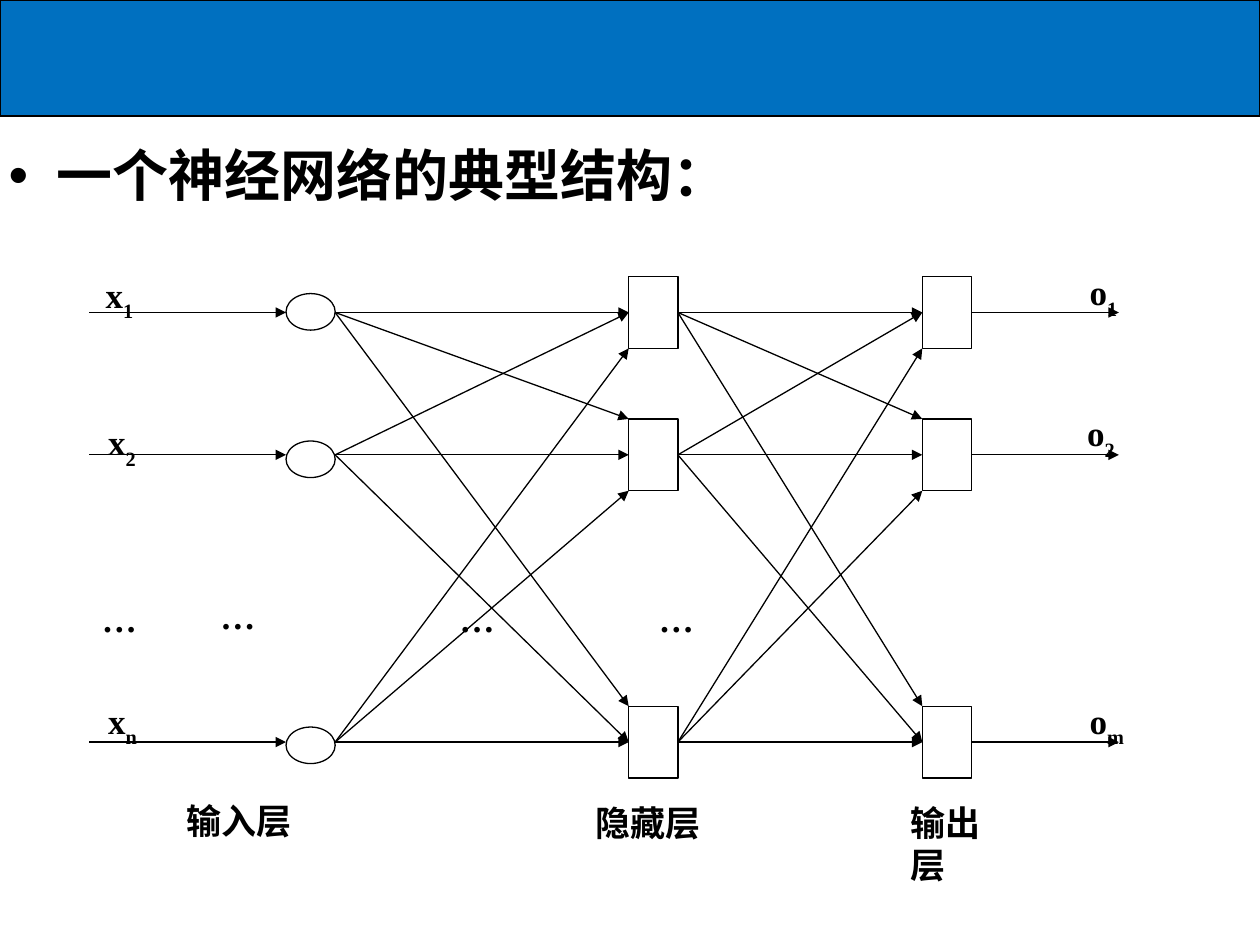
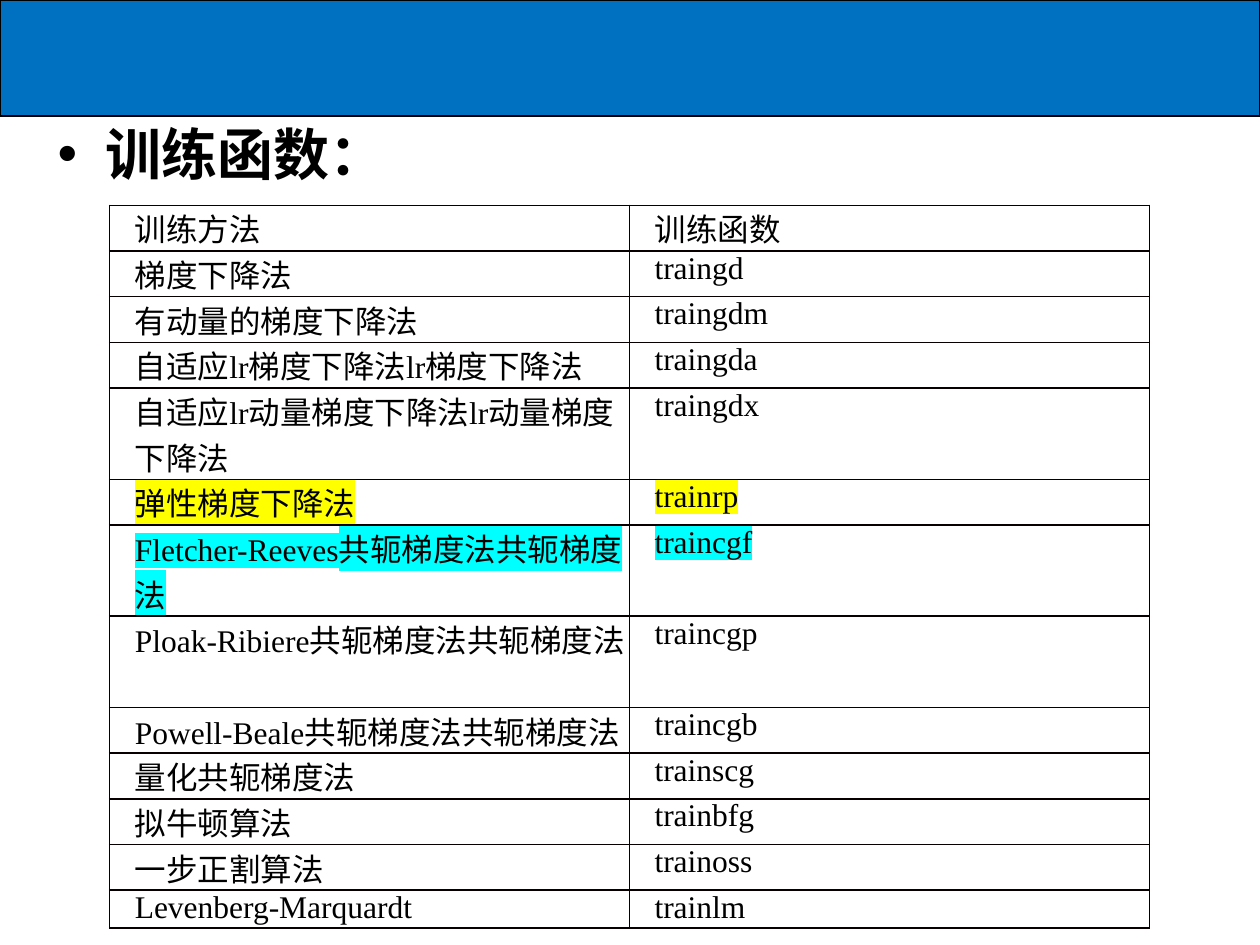
"""Build two slides on neural networks: a typical structure and its training functions."""
from dataclasses import dataclass
from itertools import product

from lxml.etree import SubElement
from pptx import Presentation
from pptx.dml.color import RGBColor
from pptx.enum.shapes import MSO_CONNECTOR, MSO_SHAPE
from pptx.oxml.ns import qn
from pptx.util import Inches, Pt


@dataclass(frozen=True)
class Theme:
    """Colours, fonts and type sizes of the slides."""
    band: str = "0070C0"
    paper: str = "FFFFFF"
    ink: str = "000000"
    grid: str = "080000"
    yellow: str = "FFFF00"
    cyan: str = "00FFFF"
    serif: str = "Times New Roman"
    sans: str = "Arial"
    chinese: str = "Noto Sans CJK SC"
    heading_size: int = 32
    label_size: int = 20
    table_size: int = 18
    table_line: float = 26.1
    latin_line: float = 19.8
    outline: float = 0.75


THEME = Theme()
LANES = (2.48, 3.61, 5.89)
INPUT_TOPS = (2.33, 3.5, 5.77)
INPUT_X, HIDDEN_X, OUTPUT_X = 2.27, 4.99, 7.32
NODE_WIDTH, INPUT_HEIGHT, UNIT_HEIGHT = 0.39, 0.29, 0.57
ARROWS_START, ARROWS_END = 0.71, 8.88
SIGNALS = (
    ("x", "1", 0.74, 2.12), ("x", "2", 0.76, 3.29), ("x", "n", 0.76, 5.5),
    ("o", "1", 8.55, 2.1), ("o", "2", 8.53, 3.22), ("o", "m", 8.55, 5.5),
)
LAYERS = (("输入层", 1.38, 6.3, 1.1), ("隐藏层", 4.63, 6.31, 1.1),
          ("输出层", 7.13, 6.31, 1.0))
ELLIPSES = ((0.71, 4.69), (1.65, 4.67), (3.55, 4.69), (5.13, 4.69))
METHODS = (
    ("训练方法", "训练函数"),
    ("梯度下降法", "traingd"),
    ("有动量的梯度下降法", "traingdm"),
    ("自适应lr梯度下降法lr梯度下降法", "traingda"),
    ("自适应lr动量梯度下降法lr动量梯度下降法", "traingdx"),
    ("弹性梯度下降法", "trainrp"),
    ("Fletcher-Reeves共轭梯度法共轭梯度法", "traincgf"),
    ("Ploak-Ribiere共轭梯度法共轭梯度法", "traincgp"),
    ("Powell-Beale共轭梯度法共轭梯度法", "traincgb"),
    ("量化共轭梯度法", "trainscg"),
    ("拟牛顿算法", "trainbfg"),
    ("一步正割算法", "trainoss"),
    ("Levenberg-Marquardt", "trainlm"),
)
MARKED = {"trainrp": THEME.yellow, "traincgf": THEME.cyan}
TWO_LINE_ROWS = ("traingdx", "traincgf", "traincgp")


def add_run(paragraph, text, size, font=THEME.serif, bold=False, baseline=0, marker=None):
    """Append one styled run to a paragraph."""
    run = paragraph.add_run()
    run.text = text
    run.font.size = Pt(size)
    run.font.bold = bold
    run.font.color.rgb = RGBColor.from_string(THEME.ink)
    properties = run.font._element
    if baseline:
        properties.set("baseline", str(baseline * 1000))
    if marker:
        SubElement(SubElement(properties, qn("a:highlight")), qn("a:srgbClr"), val=marker)
    run.font.name = font
    SubElement(properties, qn("a:ea"), typeface=THEME.chinese)


def add_outlined(shapes, preset, left, top, width, height, fill=THEME.paper):
    """Add a filled shape with the thin dark outline."""
    outlined = shapes.add_shape(preset, Inches(left), Inches(top), Inches(width), Inches(height))
    outlined.shadow.inherit = False
    outlined.fill.solid()
    outlined.fill.fore_color.rgb = RGBColor.from_string(fill)
    outlined.line.color.rgb = RGBColor.from_string(THEME.ink)
    outlined.line.width = Pt(THEME.outline)
    return outlined


def add_arrow(shapes, x1, y1, x2, y2):
    """Add a straight arrow from the first point to the second."""
    arrow = shapes.add_connector(MSO_CONNECTOR.STRAIGHT, Inches(x1), Inches(y1),
                                 Inches(x2), Inches(y2))
    arrow.line.color.rgb = RGBColor.from_string(THEME.ink)
    arrow.line.width = Pt(THEME.outline)
    SubElement(arrow.line._get_or_add_ln(), qn("a:tailEnd"), type="triangle")
    SubElement(arrow.element.spPr, qn("a:effectLst"))


def add_text_area(shapes, left, top, width, height):
    """Add a wrapping text box and return its first paragraph."""
    area = shapes.add_textbox(Inches(left), Inches(top), Inches(width), Inches(height))
    area.text_frame.word_wrap = True
    return area.text_frame.paragraphs[0]


def add_label(shapes, text, left, top, width=0.55, subscript=""):
    """Add a bold diagram label with an optional subscript."""
    paragraph = add_text_area(shapes, left, top, width, 0.43)
    add_run(paragraph, text, THEME.label_size, bold=True)
    if subscript:
        add_run(paragraph, subscript, THEME.label_size, bold=True, baseline=-30)


def add_heading(slide, text, left, top, width, height, font):
    """Add the bulleted heading of a slide."""
    paragraph = add_text_area(slide.shapes, left, top, width, height)
    properties = paragraph._p.get_or_add_pPr()
    properties.set("marL", str(Inches(0.38)))
    properties.set("indent", str(-Inches(0.38)))
    SubElement(properties, qn("a:buFont"), typeface=THEME.sans)
    SubElement(properties, qn("a:buChar"), char="•")
    add_run(paragraph, text, THEME.heading_size, font, bold=True)


def move_band_to_master(presentation, slide):
    """Put the blue top band on the master so that every slide shows it."""
    band = add_outlined(slide.shapes, MSO_SHAPE.RECTANGLE, 0, 0, 10, 0.92, THEME.band).element
    band.nvSpPr.cNvPr.id = 100
    presentation.slide_master.element.cSld.spTree.append(band)


def connect_layers(shapes, source_x, target_x):
    """Link every node of one layer with every unit of the next."""
    entry_offsets = (-UNIT_HEIGHT / 2, 0, UNIT_HEIGHT / 2)
    for source, target in product(range(len(LANES)), repeat=2):
        offset = 0 if source == target else entry_offsets[source]
        add_arrow(shapes, source_x + NODE_WIDTH, LANES[source], target_x, LANES[target] + offset)


def add_network(slide):
    """Draw the three layers, their links and labels as one group."""
    shapes = slide.shapes.add_group_shape().shapes
    for top in INPUT_TOPS:
        add_outlined(shapes, MSO_SHAPE.OVAL, INPUT_X, top, NODE_WIDTH, INPUT_HEIGHT)
    for left, lane in product((HIDDEN_X, OUTPUT_X), LANES):
        add_outlined(shapes, MSO_SHAPE.RECTANGLE, left, lane - UNIT_HEIGHT / 2,
                     NODE_WIDTH, UNIT_HEIGHT)
    for lane in LANES:
        add_arrow(shapes, ARROWS_START, lane, INPUT_X, lane)
        add_arrow(shapes, OUTPUT_X + NODE_WIDTH, lane, ARROWS_END, lane)
    connect_layers(shapes, INPUT_X, HIDDEN_X)
    connect_layers(shapes, HIDDEN_X, OUTPUT_X)
    for symbol, index, left, top in SIGNALS:
        add_label(shapes, symbol, left, top, subscript=index)
    for layer, left, top, width in LAYERS:
        add_label(shapes, layer, left, top, width)
    for left, top in ELLIPSES:
        add_label(shapes, "…", left, top)


def style_cell(cell, last_column):
    """Give a cell its borders, no margins and no fill."""
    cell.margin_left = cell.margin_right = cell.margin_top = cell.margin_bottom = 0
    properties = cell._tc.get_or_add_tcPr()
    for side in ("lnL", "lnR", "lnT", "lnB"):
        outer = last_column and side == "lnR"
        border = SubElement(properties, qn(f"a:{side}"),
                            w=str(Pt(THEME.outline if outer else 1)))
        SubElement(SubElement(border, qn("a:solidFill")), qn("a:srgbClr"),
                   val=THEME.ink if outer else THEME.grid)
    cell.fill.background()


def row_height(method, function):
    """Return the height of a row from the lines its method takes."""
    if method.isascii():
        return Pt(THEME.latin_line)
    return Pt(THEME.table_line * (2 if function in TWO_LINE_ROWS else 1))


def add_methods_table(slide):
    """Add the table of training methods and functions."""
    heights = [row_height(*entry) for entry in METHODS]
    table = slide.shapes.add_table(len(METHODS), 2, Inches(0.87), Inches(1.63),
                                   Inches(8.25), sum(heights)).table
    table.first_row = table.horz_banding = False
    for row, height, entry in zip(table.rows, heights, METHODS):
        row.height = height
        for index, (cell, text) in enumerate(zip(row.cells, entry)):
            style_cell(cell, index == 1)
            paragraph = cell.text_frame.paragraphs[0]
            paragraph._p.get_or_add_pPr().set("marL", str(Inches(0.2)))
            add_run(paragraph, text, THEME.table_size, marker=MARKED.get(entry[1]))


def main():
    """Build and save the presentation."""
    presentation = Presentation()
    presentation.slide_width, presentation.slide_height = Inches(10), Inches(7.5)
    blank = presentation.slide_layouts[6]
    structure = presentation.slides.add_slide(blank)
    move_band_to_master(presentation, structure)
    add_network(structure)
    add_heading(structure, "一个神经网络的典型结构：", -0.03, 1.07, 10, 0.87, THEME.chinese)
    training = presentation.slides.add_slide(blank)
    add_heading(training, "训练函数：", 0.36, 0.9, 9.34, 5.7, THEME.sans)
    add_methods_table(training)
    presentation.save("out.pptx")


if __name__ == "__main__":
    main()
